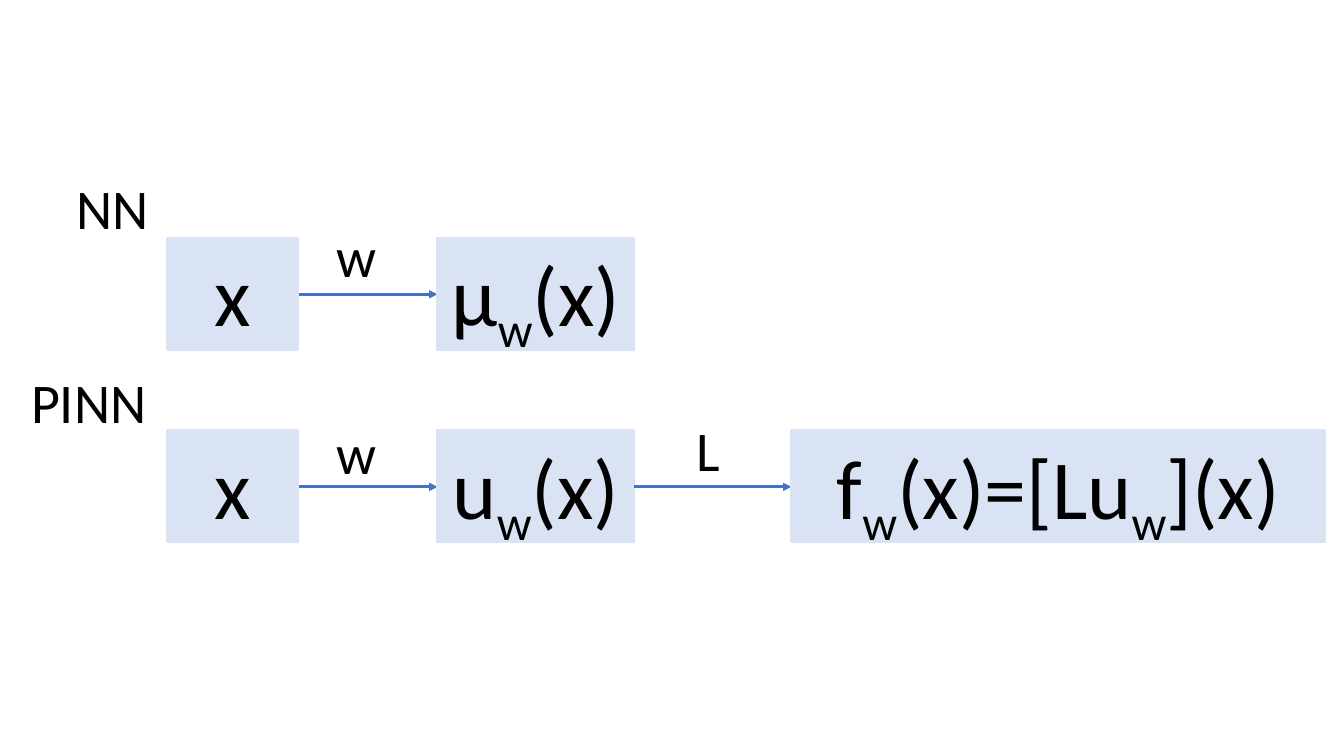
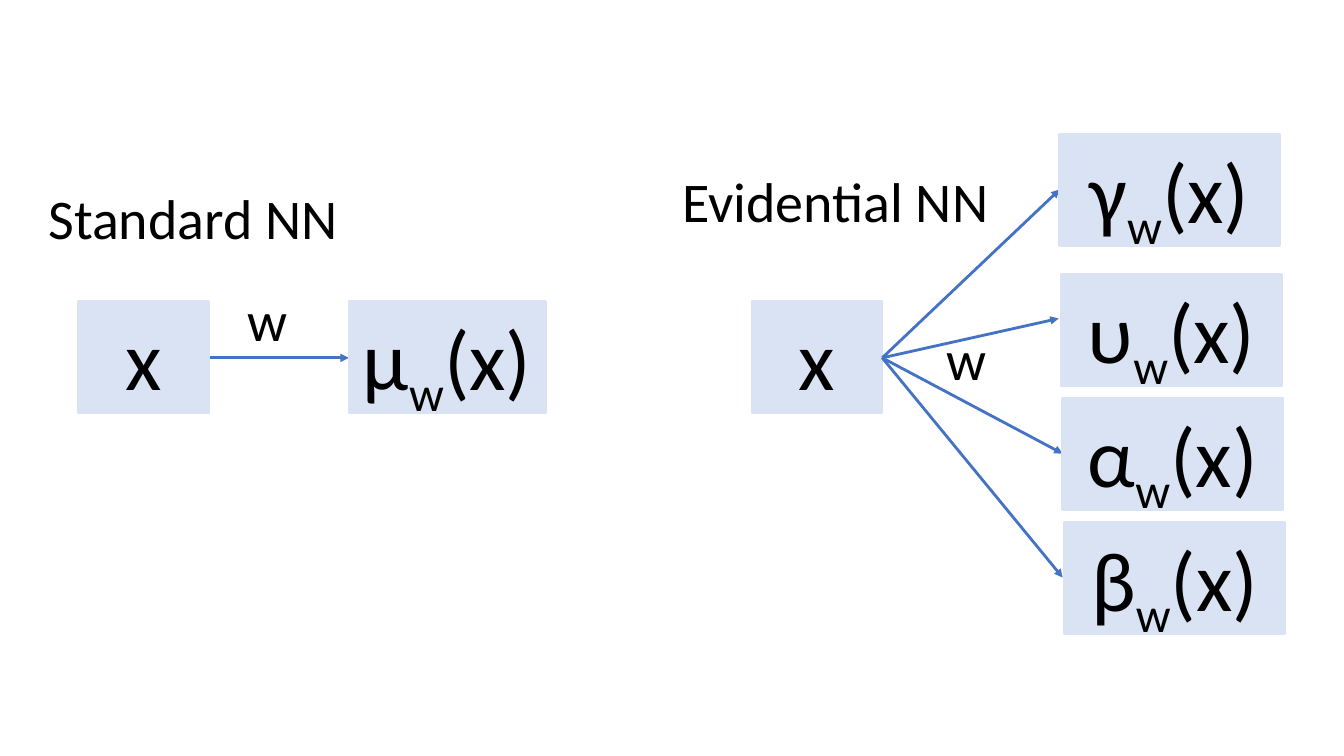
from dataclasses import dataclass

from lxml import etree
from pptx import Presentation
from pptx.dml.color import RGBColor
from pptx.enum.shapes import MSO_CONNECTOR, MSO_SHAPE
from pptx.enum.text import MSO_ANCHOR, MSO_AUTO_SIZE, PP_ALIGN
from pptx.oxml.ns import qn
from pptx.util import Inches, Pt

RECT = MSO_SHAPE.RECTANGLE
STRAIGHT = MSO_CONNECTOR.STRAIGHT
CENTER = PP_ALIGN.CENTER
TOP = MSO_ANCHOR.TOP
GROW = MSO_AUTO_SIZE.SHAPE_TO_FIT_TEXT


@dataclass(frozen=True)
class Theme:
    font: str = "Calibri"
    ink: RGBColor = RGBColor(0x00, 0x00, 0x00)
    node: RGBColor = RGBColor(0xDA, 0xE3, 0xF3)
    arrow: RGBColor = RGBColor(0x44, 0x72, 0xC4)
    formula_size: int = 60
    label_size: int = 40
    node_line: float = 1.75
    arrow_line: float = 2
    subscript: str = "-25000"


THEME = Theme()
FRAME_FORMAT = {"word_wrap": True, "auto_size": GROW, "vertical_anchor": TOP}

# Sizes shared by every network, in inches
NODE_H = 1.11
NODE_MID = 0.56
INPUT_W = 1.29
OUTPUT_W = 1.95
PARAMETER_W = 2.18
OUTPUT_X = 2.68
ARROW_X = 1.12
LABEL_H = 0.77


def set_format(target, values):
    for name, value in values.items():
        setattr(target, name, value)


def write(shape, text, size):
    """Write centred text; a letter after an underscore is a subscript."""
    frame = shape.text_frame
    set_format(frame, FRAME_FORMAT)
    paragraph = frame.paragraphs[0]
    paragraph.alignment = CENTER
    base, *rest = text.split("_")
    pieces = [(base, False)]
    for part in rest:
        pieces += [(part[0], True), (part[1:], False)]
    for piece, lowered in pieces:
        run = paragraph.add_run()
        run.text = piece
        set_format(run.font, {"name": THEME.font, "size": Pt(size)})
        run.font.color.rgb = THEME.ink
        if lowered:
            run.font._element.set("baseline", THEME.subscript)


def add_label(slide, text, box):
    label = slide.shapes.add_textbox(*map(Inches, box))
    write(label, text, THEME.label_size)


def add_node(slide, formula, box):
    node = slide.shapes.add_shape(RECT, *map(Inches, box))
    node.shadow.inherit = False
    node.fill.solid()
    node.fill.fore_color.rgb = THEME.node
    node.line.color.rgb = THEME.node
    node.line.width = Pt(THEME.node_line)
    write(node, formula, THEME.formula_size)


def add_arrow(slide, start, end):
    arrow = slide.shapes.add_connector(STRAIGHT, *map(Inches, (*start, *end)))
    arrow.line.color.rgb = THEME.arrow
    arrow.line.width = Pt(THEME.arrow_line)
    line = arrow.line._get_or_add_ln()
    etree.SubElement(line, qn("a:tailEnd"), type="triangle")
    etree.SubElement(arrow._element.spPr, qn("a:effectLst"))


def network(slide, left, top, output, weight_rise=0.21):
    """Input, weighted arrow and output, from the input's top left corner."""
    middle = top + NODE_MID
    add_arrow(slide, (left + ARROW_X, middle), (left + OUTPUT_X, middle))
    add_node(slide, "x", (left, top, INPUT_W, NODE_H))
    add_node(slide, output, (left + OUTPUT_X, top, OUTPUT_W, NODE_H))
    add_label(slide, "w", (left + 1.57, top - weight_rise, 0.61, LABEL_H))


def operator_step(slide, left, top, formula):
    """Operator arrow and its result, from the output's top right corner."""
    middle = top + NODE_MID
    add_arrow(slide, (left, middle), (left + 1.56, middle))
    add_label(slide, "L", (left + 0.39, top - 0.2, 0.69, LABEL_H))
    add_node(slide, formula, (left + 1.56, top, 5.29, NODE_H))


def evidential_network(slide, left, top):
    """One input fanning out to four distribution parameters."""
    # Symbol, node offset from the input, arrow tip offset from the input
    parameters = [
        ("γ", (3.05, -1.66), (3.05, -1.11)),
        ("υ", (3.07, -0.27), (3.04, 0.17)),
        ("α", (3.08, 0.96), (3.08, 1.51)),
        ("β", (3.10, 2.19), (3.08, 2.74)),
    ]
    add_node(slide, "x", (left, top, INPUT_W, NODE_H))
    source = (left + INPUT_W, top + NODE_MID)
    for symbol, (dx, dy), (tip_x, tip_y) in parameters:
        add_arrow(slide, source, (left + tip_x, top + tip_y))
        add_node(slide, symbol + "_w(x)",
                 (left + dx, top + dy, PARAMETER_W, NODE_H))
    add_label(slide, "w", (left + 1.78, top + 0.18, 0.69, LABEL_H))


def physics_slide(slide):
    left, plain_top, physics_top = 1.66, 2.36, 4.27
    # Plain network
    add_label(slide, "NN", (-0.13, 1.67, 2.5, LABEL_H))
    network(slide, left, plain_top, "μ_w(x)")
    # Physics-informed network
    add_label(slide, "PINN", (-0.37, 3.6, 2.5, LABEL_H))
    network(slide, left, physics_top, "u_w(x)", weight_rise=0.17)
    operator_step(slide, left + OUTPUT_X + OUTPUT_W, physics_top,
                  "f_w(x)=[Lu_w](x)")


def evidential_slide(slide):
    top = 2.99
    # Standard network
    add_label(slide, "Standard NN", (0.15, 1.77, 3.53, LABEL_H))
    network(slide, 0.78, top, "μ_w(x)")
    # Evidential network
    evidential_network(slide, 7.46, top)
    add_label(slide, "Evidential NN", (6.52, 1.6, 3.53, LABEL_H))


deck = Presentation()
set_format(deck, {"slide_width": Inches(13.33), "slide_height": Inches(7.5)})
for build in (physics_slide, evidential_slide):
    build(deck.slides.add_slide(deck.slide_layouts[6]))
deck.save("out.pptx")
